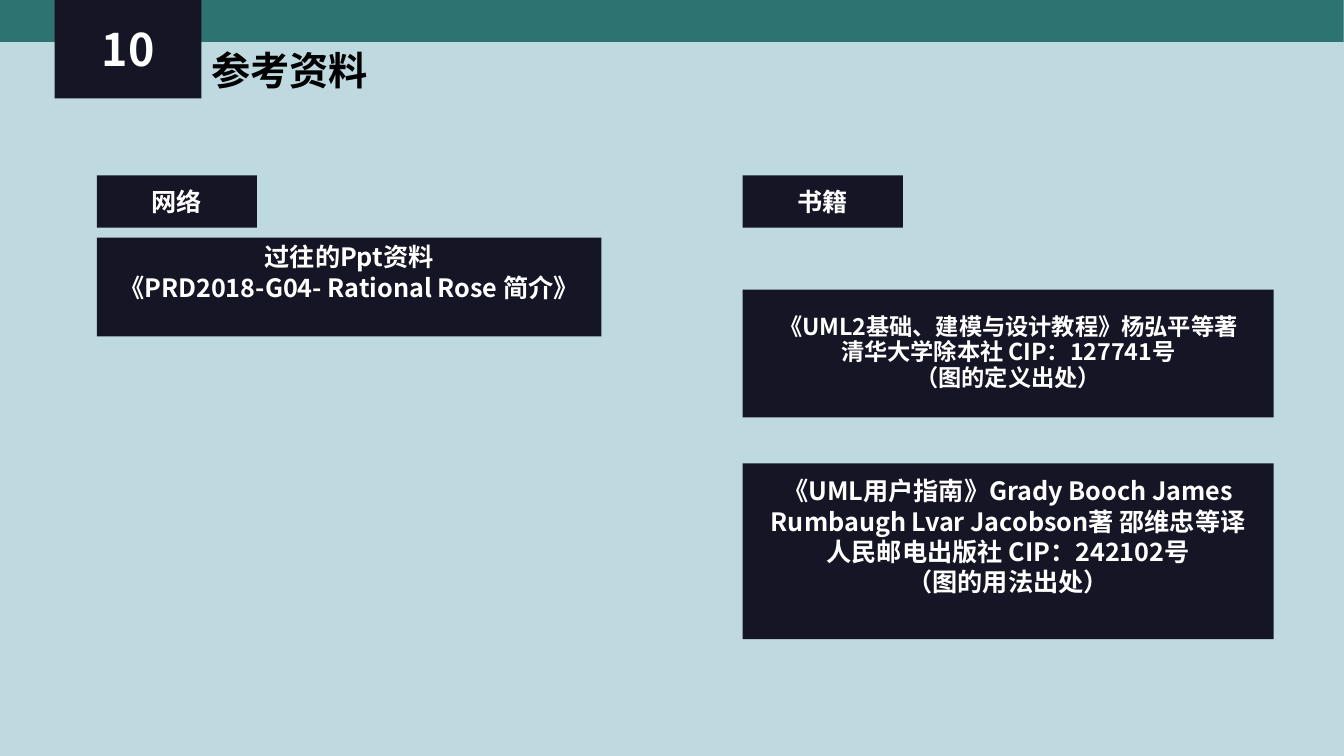
from lxml.etree import SubElement
from pptx import Presentation
from pptx.dml.color import RGBColor
from pptx.enum.shapes import MSO_SHAPE as Shape
from pptx.enum.text import MSO_ANCHOR as Anchor, MSO_AUTO_SIZE as AutoSize, PP_ALIGN as Align
from pptx.oxml.ns import qn
from pptx.util import Cm, Pt

NAVY, TEAL, PALE_BLUE = "161525", "2C7371", "BED9E0"
WHITE, BLACK = "FFFFFF", "000000"
CJK_FONT = "Noto Sans CJK SC"
LEFT_COLUMN, RIGHT_COLUMN = 2.44, 18.72
BOOK_WIDTH = 13.39


def paint(fill, color):
    fill.solid()
    fill.fore_color.rgb = RGBColor.from_string(color)


def style(paragraph, size, color, font_name, align):
    paragraph.alignment = align
    font = paragraph.font
    font.size, font.bold, font.name = Pt(size), True, font_name
    font.color.rgb = RGBColor.from_string(color)
    defaults = paragraph._p.pPr.find(qn("a:defRPr"))
    SubElement(defaults, qn("a:ea")).set("typeface", font_name)


def add_block(slide, left, top, width, height, color=NAVY):
    block = slide.shapes.add_shape(Shape.RECTANGLE, Cm(left), Cm(top), Cm(width), Cm(height))
    block.shadow.inherit = False
    paint(block.fill, color)
    block.line.fill.background()
    return block


def add_label(slide, box, lines, size=18, spacing=1.0, bottom=0.13):
    frame = add_block(slide, *box).text_frame
    frame.word_wrap = True
    frame.vertical_anchor = Anchor.MIDDLE
    frame.margin_bottom = Cm(bottom)
    frame.text = "\n".join(lines)
    for paragraph in frame.paragraphs:
        style(paragraph, size, WHITE, CJK_FONT, Align.CENTER)
        paragraph.line_spacing = spacing


def set_title(slide, text):
    title = slide.shapes.title
    title.left, title.top, title.width, title.height = Cm(5.08), Cm(1.04), Cm(16.26), Cm(1.45)
    frame = title.text_frame
    frame.text = text
    frame.auto_size = AutoSize.NONE
    frame.vertical_anchor = Anchor.TOP
    style(frame.paragraphs[0], 28, BLACK, "Arial", Align.LEFT)


def main():
    """Build the references slide and save it."""
    presentation = Presentation()
    presentation.slide_width, presentation.slide_height = Cm(33.88), Cm(19.05)
    slide = presentation.slides.add_slide(presentation.slide_layouts[5])
    paint(slide.background.fill, PALE_BLUE)

    add_block(slide, 0, 0, 33.87, 1.06, TEAL)
    add_label(slide, (1.38, 0, 3.7, 2.48), ["10"], size=32)
    set_title(slide, "参考资料")

    for left, heading in ((LEFT_COLUMN, "网络"), (RIGHT_COLUMN, "书籍")):
        add_label(slide, (left, 4.42, 4.04, 1.32), [heading])

    add_label(slide, (LEFT_COLUMN, 5.99, 12.72, 2.49),
              ["过往的Ppt资料", "《PRD2018-G04- Rational Rose 简介》"], bottom=0.89)
    add_label(slide, (RIGHT_COLUMN, 7.3, BOOK_WIDTH, 3.22),
              ["《UML2基础、建模与设计教程》杨弘平等著",
               "清华大学除本社 CIP：127741号",
               "（图的定义出处）"], size=16.6, spacing=0.9)
    add_label(slide, (RIGHT_COLUMN, 11.68, BOOK_WIDTH, 4.43),
              ["《UML用户指南》Grady Booch James Rumbaugh Lvar Jacobson著 邵维忠等译",
               "人民邮电出版社 CIP：242102号",
               "（图的用法出处）"], bottom=0.89)

    presentation.save("out.pptx")


if __name__ == "__main__":
    main()
